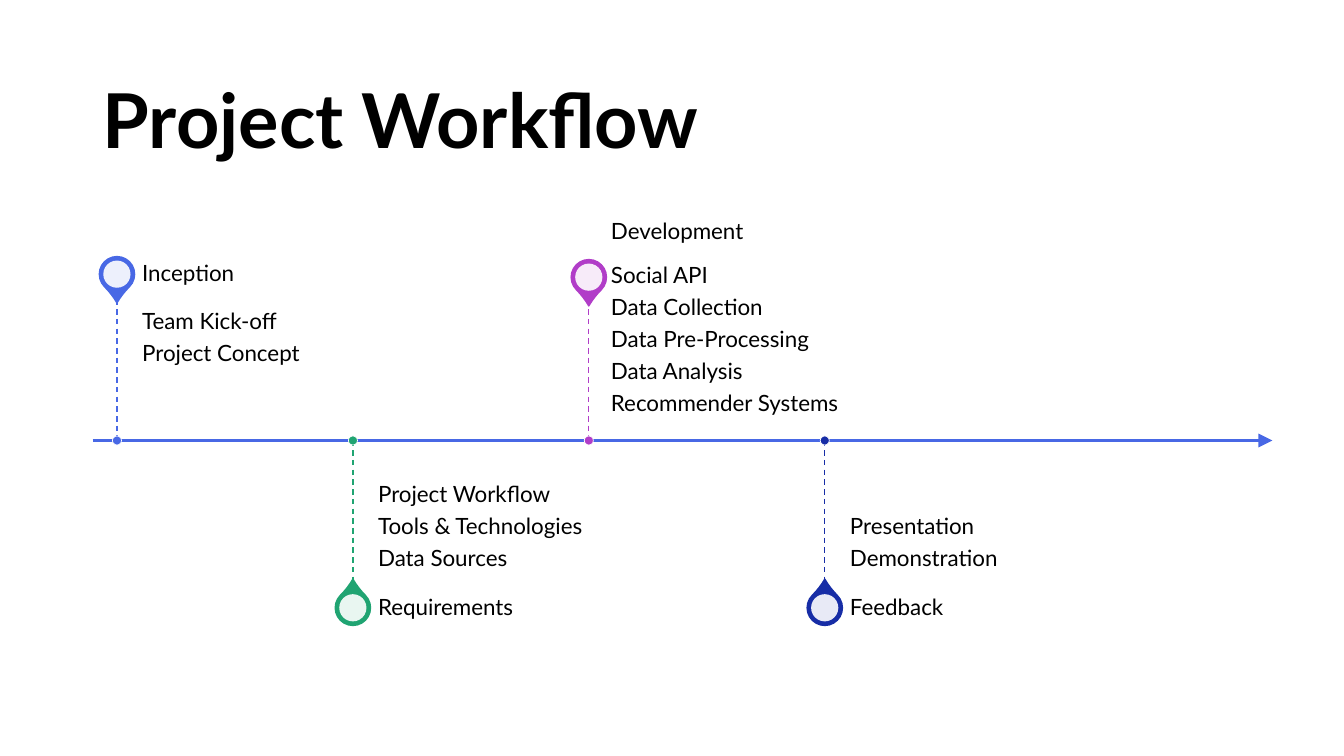
from dataclasses import dataclass

from pptx import Presentation, util as u
from pptx.dml.color import RGBColor
from pptx.enum import dml, shapes, text
from pptx.oxml.ns import qn
from lxml import etree

COLOURS = {
    "text": "000000", "white": "FFFFFF", "blue": "4868E5",
    "green": "20A472", "purple": "B13DC8", "navy": "172DA6",
}
AXIS_LEFT, AXIS_RIGHT, AXIS_Y = 0.92, 12.62, 4.37
FIRST_X, STEP_X = 1.16, 2.34
PIN_SIZE, PIN_HOLE, DOT_SIZE = 0.35, 0.27, 0.09
TEXT_WIDTH, HEADING_HEIGHT = 3.89, 0.49


@dataclass
class Milestone:
    heading: str
    details: list
    colour: str
    above: bool
    pin_y: float
    stem_y: float
    heading_top: float
    details_top: float
    details_height: float = 1.41
    text_gap: float = 0.25


MILESTONES = [
    Milestone("Inception", ["Team Kick-off", "Project Concept"],
              "blue", True, 2.72, 2.97, 2.48, 2.97),
    Milestone("Requirements",
              ["Project Workflow", "Tools & Technologies", "Data Sources"],
              "green", False, 6.03, 5.78, 5.79, 4.37),
    Milestone("Development",
              ["Social API", "Data Collection", "Data Pre-Processing",
               "Data Analysis", "Recommender Systems"],
              "purple", True, 2.75, 2.97, 2.06, 2.51, 1.81, 0.22),
    Milestone("Feedback", ["Presentation", "Demonstration"],
              "navy", False, 6.03, 5.78, 5.79, 4.37),
]


class TimelineSlide:
    font = "Lato"
    body_size = 16
    title_size = 54

    def __init__(self, presentation):
        self.slide = presentation.slides.add_slide(presentation.slide_layouts[5])

    def colour(self, name):
        return RGBColor.from_string(COLOURS[name])

    def format_paragraph(self, paragraph, size, bold=False):
        paragraph.alignment = text.PP_ALIGN.LEFT
        paragraph.line_spacing = 0.9
        for run in paragraph.runs:
            run.font.name = self.font
            run.font.size = u.Pt(size)
            run.font.bold = bold
            run.font.color.rgb = self.colour("text")

    def title(self, wording, left, top, width, height):
        shape = self.slide.shapes.title
        shape.left, shape.top = u.Inches(left), u.Inches(top)
        shape.width, shape.height = u.Inches(width), u.Inches(height)
        frame = shape.text_frame
        frame.text = wording
        frame.auto_size = text.MSO_AUTO_SIZE.NONE
        frame.vertical_anchor = text.MSO_ANCHOR.MIDDLE
        self.format_paragraph(frame.paragraphs[0], self.title_size, bold=True)

    def text_box(self, lines, left, top, height, anchor, margins):
        """Margins run left, top, right, bottom."""
        shape = self.slide.shapes.add_textbox(
            u.Inches(left), u.Inches(top), u.Inches(TEXT_WIDTH), u.Inches(height))
        frame = shape.text_frame
        frame.word_wrap = True
        frame.vertical_anchor = anchor
        (frame.margin_left, frame.margin_top,
         frame.margin_right, frame.margin_bottom) = map(u.Inches, margins)
        frame.text = "\n".join(lines)
        for paragraph in frame.paragraphs:
            self.format_paragraph(paragraph, self.body_size)
            paragraph.space_after = u.Pt(0.35 * self.body_size)

    def line(self, x1, y1, x2, y2, colour, width, dashed=False, arrow=False):
        connector = self.slide.shapes.add_connector(
            shapes.MSO_CONNECTOR.STRAIGHT,
            u.Inches(x1), u.Inches(y1), u.Inches(x2), u.Inches(y2))
        connector.line.color.rgb = self.colour(colour)
        connector.line.width = u.Pt(width)
        if dashed:
            connector.line.dash_style = dml.MSO_LINE.DASH
        if arrow:
            outline = connector._element.spPr.find(qn("a:ln"))
            etree.SubElement(outline, qn("a:tailEnd"),
                             type="triangle", w="lg", len="lg")
        etree.SubElement(connector._element.spPr, qn("a:effectLst"))

    def round_shape(self, kind, x, y, size, fill, outline=None, width=1):
        """Centres the shape on x, y."""
        shape = self.slide.shapes.add_shape(
            kind, u.Inches(x - size / 2), u.Inches(y - size / 2),
            u.Inches(size), u.Inches(size))
        shape.shadow.inherit = False
        shape.fill.solid()
        shape.fill.fore_color.rgb = self.colour(fill)
        if outline:
            shape.line.color.rgb = self.colour(outline)
            shape.line.width = u.Pt(width)
        else:
            shape.line.fill.background()
        return shape

    def pin(self, x, y, colour, points_down):
        drop = self.round_shape(shapes.MSO_SHAPE.TEAR, x, y, PIN_SIZE, colour, colour)
        drop.adjustments[0] = 1.15
        drop.rotation = 135 if points_down else 315
        hole = self.round_shape(shapes.MSO_SHAPE.OVAL, x, y, PIN_HOLE, "white")
        fill_colour = hole._element.spPr.find(qn("a:solidFill"))[0]
        etree.SubElement(fill_colour, qn("a:alpha"), val="90000")

    def milestone(self, x, item):
        self.pin(x, item.pin_y, item.colour, item.above)
        left = x + item.text_gap
        if item.above:
            anchor, margins = text.MSO_ANCHOR.TOP, (0, 0.11, 0.11, 0.17)
        else:
            anchor, margins = text.MSO_ANCHOR.BOTTOM, (0, 0.17, 0, 0.11)
        self.text_box(item.details, left, item.details_top,
                      item.details_height, anchor, margins)
        self.text_box([item.heading], left, item.heading_top, HEADING_HEIGHT,
                      text.MSO_ANCHOR.MIDDLE, (0, 0, 0.11, 0))
        start, end = sorted((item.stem_y, AXIS_Y))
        self.line(x, start, x, end, item.colour, 1, dashed=True)
        self.round_shape(shapes.MSO_SHAPE.OVAL, x, AXIS_Y, DOT_SIZE,
                         item.colour, "white", 0.5)


def main():
    presentation = Presentation()
    presentation.slide_width = u.Inches(13.33)
    presentation.slide_height = u.Inches(7.5)
    timeline = TimelineSlide(presentation)
    timeline.title("Project Workflow", 0.92, 0.61, 11.5, 1.24)
    timeline.line(AXIS_LEFT, AXIS_Y, AXIS_RIGHT, AXIS_Y, "blue", 1.5, arrow=True)
    for index, item in enumerate(MILESTONES):
        timeline.milestone(FIRST_X + index * STEP_X, item)
    presentation.save("out.pptx")


if __name__ == "__main__":
    main()
